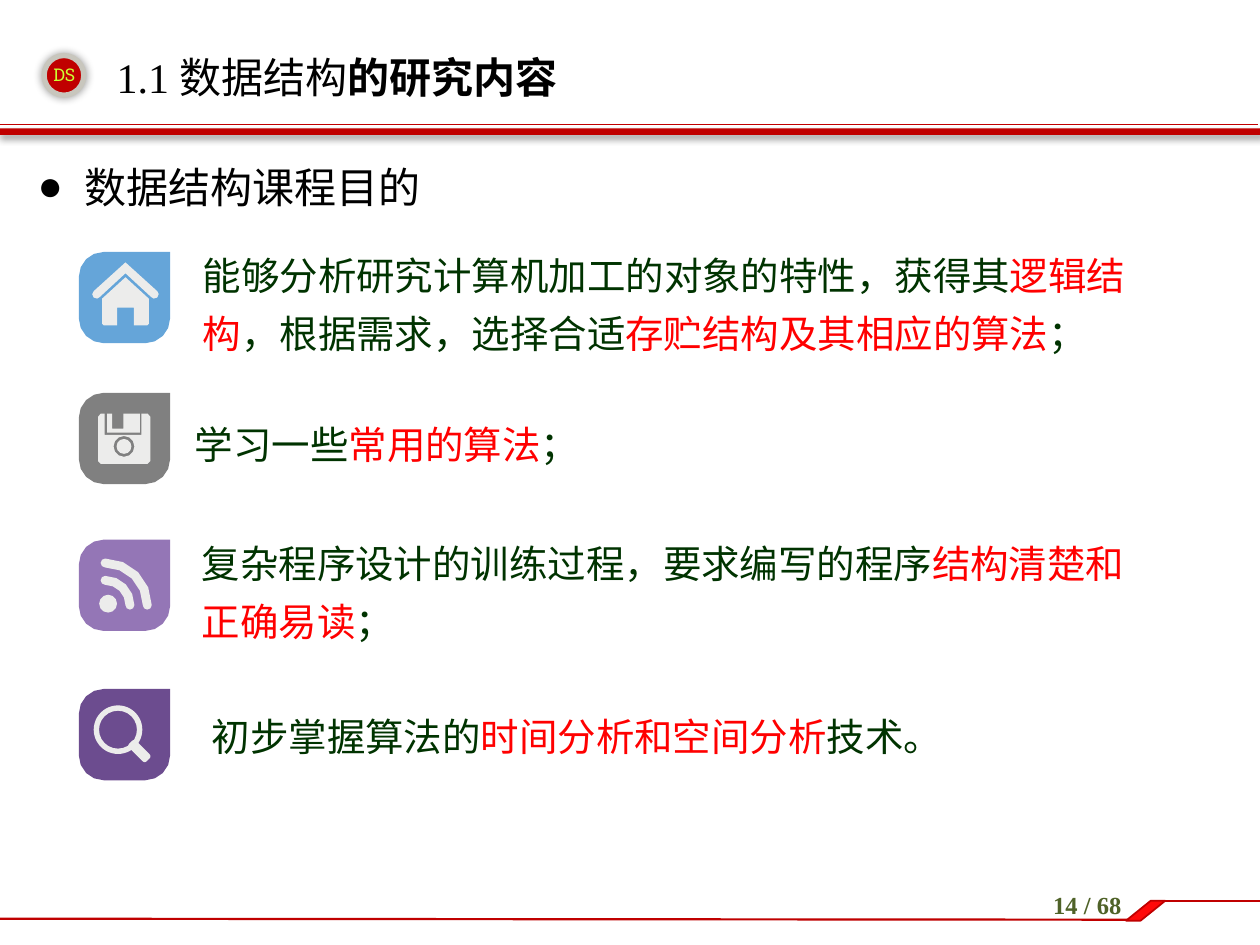
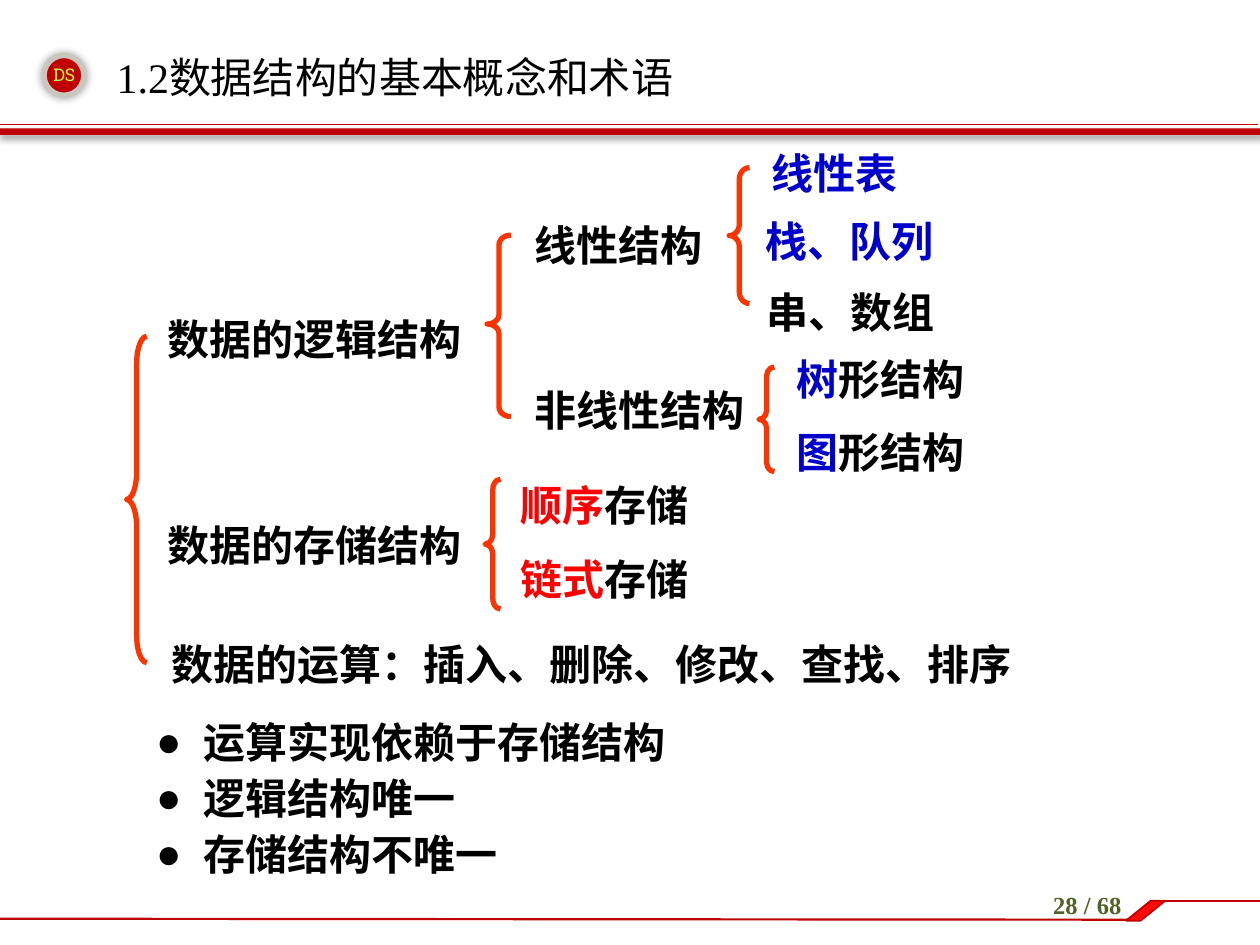
import math

import lxml.etree
import pptx
import pptx.dml.color
import pptx.enum.shapes
import pptx.enum.text
import pptx.oxml.ns
import pptx.util

Cm = pptx.util.Cm
Pt = pptx.util.Pt
RGBColor = pptx.dml.color.RGBColor
SHAPE = pptx.enum.shapes.MSO_SHAPE
ALIGN = pptx.enum.text.PP_ALIGN
ANCHOR = pptx.enum.text.MSO_ANCHOR
qn = pptx.oxml.ns.qn

CRIMSON = RGBColor(0xC0, 0x00, 0x00)
FLAG_RED = RGBColor(0xFF, 0x09, 0x09)
BADGE_RIM = RGBColor(0xC8, 0xC6, 0xBD)
LIME = RGBColor(0xCC, 0xFF, 0x33)
OLIVE = RGBColor(0x4F, 0x62, 0x28)
BLACK = RGBColor(0x00, 0x00, 0x00)
RED = RGBColor(0xFF, 0x00, 0x00)
BLUE = RGBColor(0x00, 0x00, 0xCC)
DARK_GREEN = RGBColor(0x00, 0x33, 0x00)
BRACE_ORANGE = RGBColor(0xFF, 0x33, 0x00)
ICON_WHITE = RGBColor(0xEC, 0xEC, 0xEB)
SKY = RGBColor(0x65, 0xA5, 0xD9)
GREY = RGBColor(0x80, 0x80, 0x80)
LILAC = RGBColor(0x94, 0x76, 0xB6)
PURPLE = RGBColor(0x6C, 0x4C, 0x8F)

SANS = "Noto Sans CJK SC"
SERIF = "Times New Roman"
SLAB = "Roboto Slab"
TILE = 1.84
PAGES = 68


def add_text(slide, box, paragraphs, size, font=SANS, bold=False, align=ALIGN.LEFT,
             anchor=ANCHOR.TOP, leading=None, gap=0, bullet=False):
    """Write paragraphs made of (text, colour[, bold]) runs into a text box."""
    frame = slide.shapes.add_textbox(*map(Cm, box)).text_frame
    frame.word_wrap = True
    frame.vertical_anchor = anchor
    for index, runs in enumerate(paragraphs):
        paragraph = frame.add_paragraph() if index else frame.paragraphs[0]
        paragraph.alignment = align
        if leading:
            paragraph.line_spacing = Pt(leading)
        if index:
            paragraph.space_before = Pt(gap)
        if bullet:
            add_bullet(paragraph)
        for text, colour, *weight in runs:
            run = paragraph.add_run()
            run.text = text
            run.font.size = Pt(size)
            run.font.bold = weight[0] if weight else bold
            run.font.color.rgb = colour
            run.font.name = font
            east_asian = lxml.etree.SubElement(run.font._element, qn("a:ea"))
            east_asian.set("typeface", SANS)


def add_bullet(paragraph):
    """Give a paragraph a round bullet and a hanging indent."""
    properties = paragraph._p.get_or_add_pPr()
    properties.set("marL", str(Cm(0.95)))
    properties.set("indent", str(-Cm(0.95)))
    lxml.etree.SubElement(properties, qn("a:buFont")).set("typeface", SERIF)
    lxml.etree.SubElement(properties, qn("a:buChar")).set("char", "●")


def paint(shape, fill=None, line=None, width=1):
    """Set fill and outline, leaving out whichever is not given."""
    shape.shadow.inherit = False
    if fill is None:
        shape.fill.background()
    else:
        shape.fill.solid()
        shape.fill.fore_color.rgb = fill
    if line is None:
        shape.line.fill.background()
    else:
        shape.line.color.rgb = line
        shape.line.width = Pt(width)


def add_preset(slide, kind, box, fill=None, line=None, width=1, adjustments=()):
    """Add a painted preset shape."""
    shape = slide.shapes.add_shape(kind, *map(Cm, box))
    for index, value in enumerate(adjustments):
        shape.adjustments[index] = value
    paint(shape, fill, line, width)
    return shape


def add_shadow(shape, blur, distance, degrees):
    """Cast a soft black shadow."""
    effects = shape._element.spPr.find(qn("a:effectLst"))
    shadow = lxml.etree.SubElement(effects, qn("a:outerShdw"))
    shadow.set("blurRad", str(Pt(blur)))
    shadow.set("dist", str(Pt(distance)))
    shadow.set("dir", str(degrees * 60000))
    colour = lxml.etree.SubElement(shadow, qn("a:srgbClr"))
    colour.set("val", str(BLACK))
    lxml.etree.SubElement(colour, qn("a:alpha")).set("val", "40000")


def add_rule(slide, ends, width):
    """Draw a straight crimson line."""
    rule = slide.shapes.add_connector(pptx.enum.shapes.MSO_CONNECTOR.STRAIGHT, *map(Cm, ends))
    rule.line.color.rgb = CRIMSON
    rule.line.width = Pt(width)
    lxml.etree.SubElement(rule._element.spPr, qn("a:effectLst"))


def add_header(slide, title):
    """Draw the badge, the title and the double red band."""
    badge = add_preset(slide, SHAPE.OVAL, (0.89, 1.12, 0.8, 0.8), CRIMSON, BADGE_RIM, 3)
    add_shadow(badge, 5, 0, 0)
    add_rule(slide, (-0.05, 2.51, 25.35, 2.51), 0.25)
    band = add_preset(slide, SHAPE.RECTANGLE, (-0.08, 2.59, 25.48, 0.13), CRIMSON)
    add_shadow(band, 4, 3, 45)
    add_text(slide, (0.61, 1.17, 1.37, 0.69), [[("DS", LIME)]], 10, SLAB, align=ALIGN.CENTER)
    add_text(slide, (2.1, 0.78, 20.19, 1.55), [title], 24, SERIF, anchor=ANCHOR.MIDDLE)


def add_footer(slide, page):
    """Draw the stepped bottom line and the page number."""
    add_rule(slide, (0, 18.52, 22.76, 18.54), 1.25)
    add_rule(slide, (23.29, 18.16, 25.4, 18.16), 1.5)
    add_preset(slide, SHAPE.PARALLELOGRAM, (22.7, 18.16, 0.79, 0.4), FLAG_RED, CRIMSON, 1, [1.24])
    add_text(slide, (20.32, 17.81, 3.2, 1.02), [[(f"{page} / {PAGES}", OLIVE)]], 14, SERIF,
             bold=True, align=ALIGN.CENTER)


def arc(x, y, radius, start, end, steps=4):
    """List points along a circular arc, in degrees clockwise from the right."""
    angles = [math.radians(start + (end - start) * i / steps) for i in range(steps + 1)]
    return [(x + radius * math.cos(a), y + radius * math.sin(a)) for a in angles]


def add_outline(slide, left, top, fill, *contours):
    """Fill closed contours given relative to a corner; inner ones are holes."""
    scaled = [[(Cm(x), Cm(y)) for x, y in contour] for contour in contours]
    builder = slide.shapes.build_freeform(*scaled[0][0])
    for index, contour in enumerate(scaled):
        if index:
            builder.move_to(*contour[0])
        builder.add_line_segments(contour[1:], close=True)
    paint(builder.convert_to_shape(Cm(left), Cm(top)), fill)


def add_disc(slide, x, y, radius, fill):
    """Draw a filled circle around a centre."""
    add_preset(slide, SHAPE.OVAL, (x - radius, y - radius, 2 * radius, 2 * radius), fill)


def add_tile(slide, left, top, fill):
    """Draw an icon tile with three rounded corners."""
    near, far = 0.5, TILE - 0.5
    add_outline(slide, left, top, fill, [(TILE, 0)] + arc(far, far, near, 0, 90)
                + arc(near, far, near, 90, 180) + arc(near, near, near, 180, 270))


def draw_house(slide, left, top):
    """Draw a house as two symmetric outlines."""
    roof = [(0.94, 0.21), (0.3, 0.79), (0.27, 0.85), (0.3, 0.92), (0.37, 0.94), (0.42, 0.91),
            (0.94, 0.43)]
    walls = [(0.94, 0.51), (0.47, 0.94), (0.47, 1.45), (0.5, 1.48), (0.77, 1.48), (0.77, 1.12)]
    for half in (roof, walls):
        mirrored = [(1.88 - x, y) for x, y in reversed(half)]
        add_outline(slide, left, top, ICON_WHITE, half + mirrored)


def draw_disk(slide, left, top):
    """Draw a floppy disk with its shutter and hub."""
    shutter = [(0.57, 0.42), (0.67, 0.42), (0.67, 0.72), (0.9, 0.72), (0.9, 0.42),
               (1.23, 0.42), (1.23, 0.8), (0.57, 0.8)]
    body = [(0.52, 0.42), (0.52, 0.85), (1.26, 0.85), (1.26, 0.42), (1.39, 0.42), (1.44, 0.48),
            (1.44, 1.38), (1.39, 1.43), (0.44, 1.43), (0.39, 1.38), (0.39, 0.48), (0.44, 0.42)]
    add_outline(slide, left, top, ICON_WHITE, shutter)
    add_outline(slide, left, top, ICON_WHITE, body, arc(0.91, 1.08, 0.21, 0, 360, 12))
    add_disc(slide, left + 0.91, top + 1.08, 0.15, ICON_WHITE)


def draw_waves(slide, left, top):
    """Draw a dot with two round-ended waves."""
    x, y, half = 0.53, 1.32, 0.09
    add_disc(slide, left + 0.59, top + 1.29, 0.18, ICON_WHITE)
    for radius in (0.5, 0.85):
        add_outline(slide, left, top, ICON_WHITE,
                    arc(x, y, radius + half, -90, 0) + arc(x + radius, y, half, 0, 180)
                    + arc(x, y, radius - half, 0, -90) + arc(x, y - radius, half, 90, 270))


def draw_magnifier(slide, left, top):
    """Draw a ring with a slanted handle."""
    add_preset(slide, SHAPE.DONUT, (left + 0.3, top + 0.33, 0.98, 0.98), ICON_WHITE,
               adjustments=[0.11])
    handle = add_preset(slide, SHAPE.ROUNDED_RECTANGLE, (left + 0.97, top + 1.15, 0.5, 0.2),
                        ICON_WHITE, adjustments=[0.3])
    handle.rotation = 45


def add_goal(slide, left, top, tile_colour, draw_icon, text_dx, text_dy, runs):
    """Place an icon tile and the goal beside it."""
    add_tile(slide, left, top, tile_colour)
    draw_icon(slide, left, top)
    add_text(slide, (left + text_dx, top + text_dy, 19.3, 1.8), [runs], 22, leading=33)


def add_branches(slide, box, bend, branches):
    """Draw a brace and its branches, offset from the brace's corner."""
    add_preset(slide, SHAPE.LEFT_BRACE, box, line=BRACE_ORANGE, width=3, adjustments=bend)
    for dx, dy, runs in branches:
        width = 0.85 * sum(len(text) for text, _ in runs) + 0.8
        add_text(slide, (box[0] + dx, box[1] + dy, width, 1.27), [runs], 24, bold=True, leading=29)


def build_goals(slide):
    """Fill the slide on the goals of the course."""
    add_header(slide, [("1.1 数据结构", BLACK), ("的研究内容", BLACK, True)])
    add_text(slide, (0.51, 3.12, 24.4, 1.3), [[("数据结构课程目的", BLACK)]], 24, leading=29, bullet=True)
    goals = [
        (5.08, SKY, draw_house, 2.25, -0.36,
         [("能够分析研究计算机加工的对象的特性，获得其", DARK_GREEN), ("逻辑结构", RED),
          ("，根据需求，选择合适", DARK_GREEN), ("存贮结构及其相应的算法", RED), ("；", DARK_GREEN)]),
        (7.92, GREY, draw_disk, 2.09, 0.21,
         [("学习一些", DARK_GREEN), ("常用的算法", RED), ("；", DARK_GREEN)]),
        (10.88, LILAC, draw_waves, 2.23, -0.35,
         [("复杂程序设计的训练过程，要求编写的程序", DARK_GREEN), ("结构清楚和正确易读", RED),
          ("；", DARK_GREEN)]),
        (13.89, PURPLE, draw_magnifier, 2.43, 0.13,
         [("初步掌握算法的", DARK_GREEN), ("时间分析和空间分析", RED), ("技术。", DARK_GREEN)]),
    ]
    for goal in goals:
        add_goal(slide, 1.59, *goal)
    add_footer(slide, 14)


def build_concepts(slide):
    """Fill the slide on basic concepts and terms."""
    add_header(slide, [("1.2数据结构的基本概念和术语", BLACK)])
    add_branches(slide, (2.55, 6.78, 0.41, 6.58), (1.36, 0.5), [
        (0.58, -0.6, [("数据的逻辑结构", BLACK)]),
        (0.58, 3.56, [("数据的存储结构", BLACK)]),
        (0.66, 5.97, [("数据的运算：插入、删除、修改、查找、排序", BLACK)])])
    add_branches(slide, (9.78, 9.66, 0.31, 2.62), (0.69, 0.5), [
        (0.47, -0.13, [("顺序", RED), ("存储", BLACK)]),
        (0.47, 1.36, [("链式", RED), ("存储", BLACK)])])
    add_branches(slide, (9.82, 4.74, 0.48, 3.66), (0.4, 0.49), [
        (0.71, -0.45, [("线性结构", BLACK)]),
        (0.71, 2.88, [("非线性结构", BLACK)])])
    add_branches(slide, (14.7, 3.38, 0.41, 2.74), (0.56, 0.5), [
        (0.61, -0.54, [("线性表", BLUE)]),
        (0.49, 0.84, [("栈、队列", BLUE)]),
        (0.51, 2.26, [("串、数组", BLACK)])])
    add_branches(slide, (15.3, 7.4, 0.31, 2.11), (0.58, 0.5), [
        (0.51, -0.41, [("树", BLUE), ("形结构", BLACK)]),
        (0.51, 1.06, [("图", BLUE), ("形结构", BLACK)])])
    remarks = ["运算实现依赖于存储结构", "逻辑结构唯一", "存储结构不唯一"]
    add_text(slide, (2.9, 14.32, 20.2, 3.56), [[(remark, BLACK)] for remark in remarks], 24,
             bold=True, leading=29, gap=3, bullet=True)
    add_footer(slide, 28)


def main():
    """Build both slides and save them."""
    deck = pptx.Presentation()
    deck.slide_width, deck.slide_height = Cm(25.4), Cm(19.05)
    for build in (build_goals, build_concepts):
        build(deck.slides.add_slide(deck.slide_layouts[6]))
    deck.save("out.pptx")


if __name__ == "__main__":
    main()
